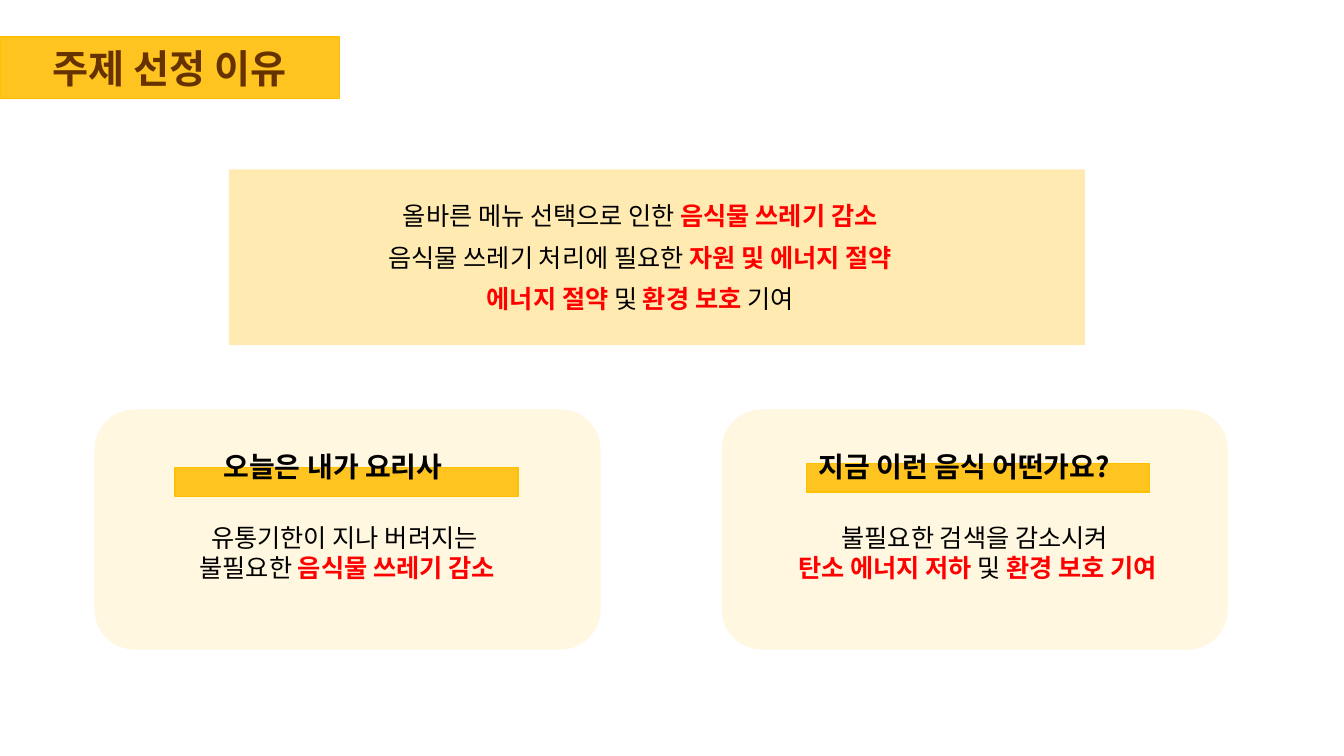
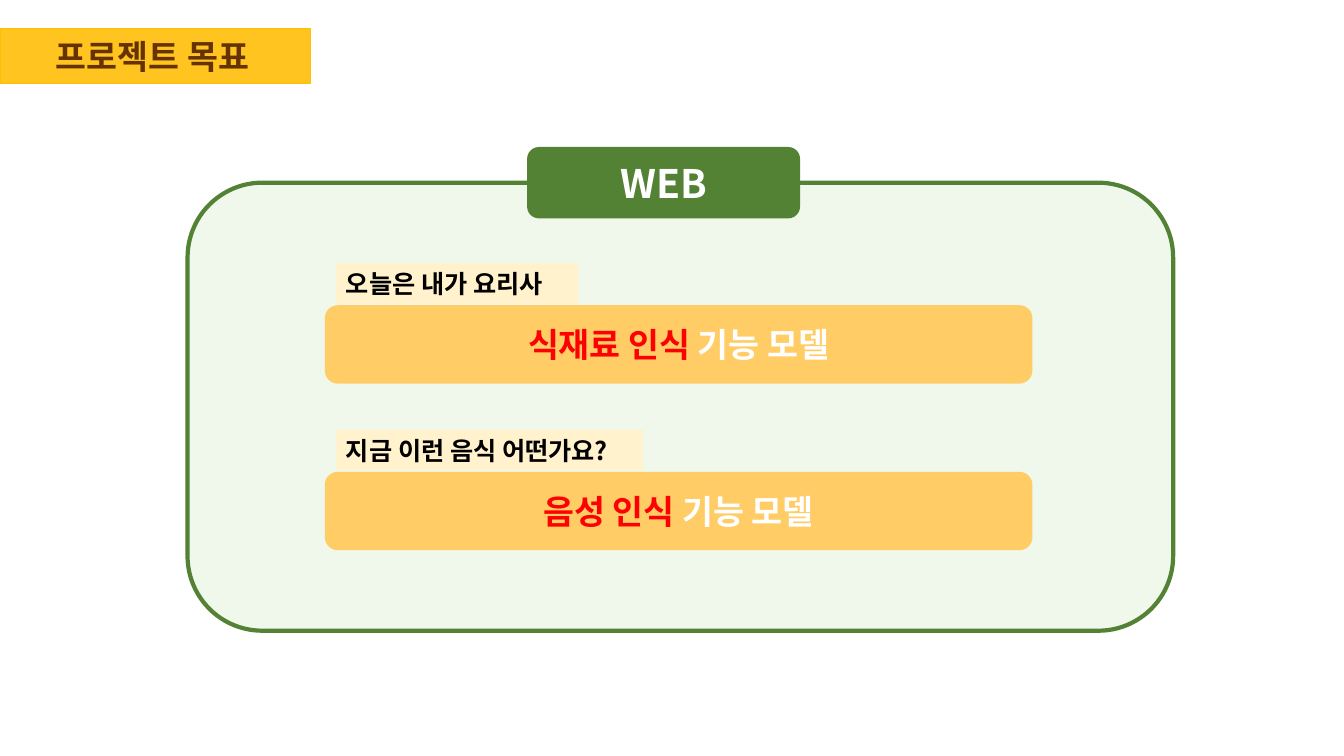
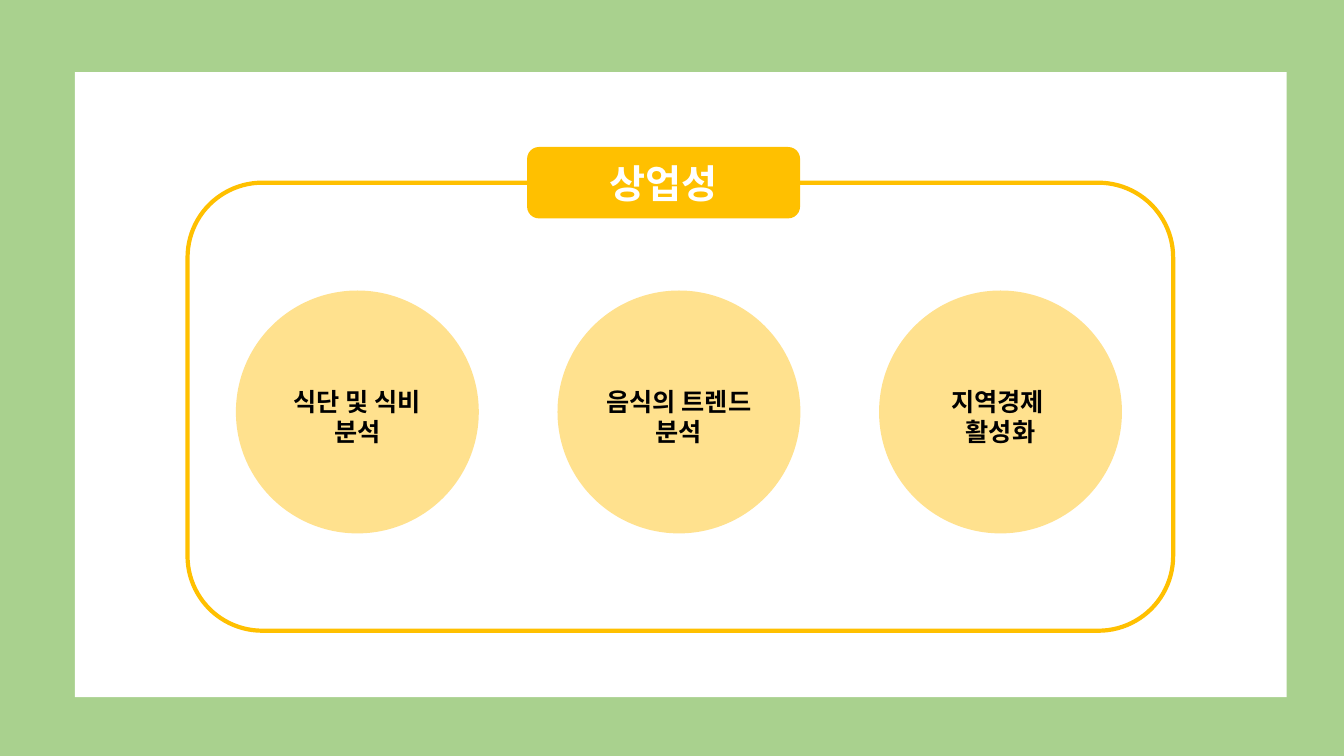
from lxml import etree
from pptx import Presentation
from pptx.dml.color import RGBColor
from pptx.enum.shapes import MSO_SHAPE
from pptx.enum.text import PP_ALIGN
from pptx.oxml.ns import qn
from pptx.util import Pt

RECT = MSO_SHAPE.RECTANGLE
ROUND = MSO_SHAPE.ROUNDED_RECTANGLE
OVAL = MSO_SHAPE.OVAL
LEFT = PP_ALIGN.LEFT
CENTER = PP_ALIGN.CENTER


class Theme:
    font = "Noto Sans CJK KR"
    black = "000000"
    white = "FFFFFF"
    red = "FF0000"
    brown = "663300"
    amber = "FFC41F"
    gold = "FFC000"
    sand = "FFD966"
    cream = "FFF2CC"
    orange = "FFCC66"
    green = "548235"
    mint = "E2F0D9"
    leaf = "A9D18E"
    title = 28
    subtitle = 24
    heading = 20
    body = 18


def add_box(s, kind, at, fill=None, line=None, width=1, opacity=100):
    sp = s.shapes.add_shape(kind, *[Pt(v) for v in at])
    sp.shadow.inherit = False
    if fill:
        sp.fill.solid()
        sp.fill.fore_color.rgb = RGBColor.from_string(fill)
        if opacity < 100:
            clr = next(sp.element.iter(qn("a:srgbClr")))
            etree.SubElement(clr, qn("a:alpha"), val=str(opacity * 1000))
    else:
        sp.fill.background()
    if line:
        sp.line.color.rgb = RGBColor.from_string(line)
        sp.line.width = Pt(width)
    else:
        sp.line.fill.background()
    return sp


def write(sp, paragraphs, size, align=LEFT, gap=0):
    tf = sp.text_frame
    tf.word_wrap = True
    for i, runs in enumerate(paragraphs):
        p = tf.paragraphs[0] if i == 0 else tf.add_paragraph()
        p.alignment = align
        if i and gap:
            p.space_before = Pt(gap)
        for text, color, bold in runs:
            r = p.add_run()
            r.text = text
            r.font.size = Pt(size)
            r.font.bold = bold
            r.font.color.rgb = RGBColor.from_string(color)
            r.font.name = Theme.font
            etree.SubElement(r._r.get_or_add_rPr(), qn("a:ea"), typeface=Theme.font)


prs = Presentation()
prs.slide_width = Pt(960)
prs.slide_height = Pt(540)
reason, goal, market = [prs.slides.add_slide(prs.slide_layouts[6]) for _ in range(3)]

market.background.fill.solid()
market.background.fill.fore_color.rgb = RGBColor.from_string(Theme.leaf)
add_box(market, RECT, (53.5, 51.5, 865.5, 446.5), Theme.white)

for s, text, size, at, indent in [
    (reason, "주제 선정 이유", Theme.title, (0, 26.5, 242.5, 44), 37.5),
    (goal, "프로젝트 목표", Theme.subtitle, (0, 20.5, 222, 39), 40),
]:
    sp = add_box(s, RECT, at, Theme.amber, Theme.gold)
    sp.text_frame.margin_left = Pt(indent)
    write(sp, [[(text, Theme.brown, True)]], size)

for s, text, color, fill in [
    (goal, "WEB", Theme.green, Theme.mint),
    (market, "상업성", Theme.gold, None),
]:
    add_box(s, ROUND, (134, 130.5, 704, 320), fill, color, 3, 50)
    tag = add_box(s, ROUND, (376.5, 105, 195, 51), color)
    write(tag, [[(text, Theme.white, True)]], Theme.title, CENTER)

banner = add_box(reason, RECT, (163.5, 121, 611.5, 125.5), Theme.sand, opacity=50)
banner.text_frame.margin_right = Pt(31)
write(banner, [
    [("올바른 메뉴 선택으로 인한 ", Theme.black, False),
     ("음식물 쓰레기 감소", Theme.red, True)],
    [("음식물 쓰레기 처리에 필요한 ", Theme.black, False),
     ("자원 및 에너지 절약", Theme.red, True)],
    [("에너지 절약 ", Theme.red, True), ("및 ", Theme.black, False),
     ("환경 보호 ", Theme.red, True), ("기여", Theme.black, False)],
], Theme.body, CENTER, 8)

for card_x, mark_x, mark_y, head_x, body_x, body_w, head, body in [
    (67.5, 125, 334, 152.5, 103, 290, "오늘은 내가 요리사", [
        [("유통기한이 지나 버려지는 ", Theme.black, False)],
        [("불필요한 ", Theme.black, False), ("음식물 쓰레기 감소", Theme.red, True)],
    ]),
    (515.5, 576, 331, 577.5, 534, 328.5, "지금 이런 음식 어떤가요?", [
        [("불필요한 검색을 감소시켜 ", Theme.black, False)],
        [("탄소 에너지 저하 ", Theme.red, True), ("및 ", Theme.black, False),
         ("환경 보호 기여", Theme.red, True)],
    ]),
]:
    add_box(reason, ROUND, (card_x, 292.5, 361.5, 171.5), Theme.cream, opacity=60)
    add_box(reason, RECT, (mark_x, mark_y, 245, 20.5), Theme.amber, Theme.gold)
    sp = reason.shapes.add_textbox(Pt(head_x), Pt(317.5), Pt(255.5), Pt(31.5))
    write(sp, [[(head, Theme.black, True)]], Theme.heading)
    sp = reason.shapes.add_textbox(Pt(body_x), Pt(369.5), Pt(body_w), Pt(51))
    write(sp, body, Theme.body, CENTER)

for i, (label, label_w, feature) in enumerate([
    ("오늘은 내가 요리사", 173, "식재료 인식 "),
    ("지금 이런 음식 어떤가요?", 219.5, "음성 인식 "),
]):
    y = 218 + i * 119
    sp = add_box(goal, ROUND, (232, y, 505.5, 56), Theme.orange)
    write(sp, [[(feature, Theme.red, True), ("기능 모델", Theme.white, True)]],
          Theme.subtitle, CENTER)
    sp = add_box(goal, RECT, (240, y - 30, label_w, 29), Theme.cream)
    write(sp, [[(label, Theme.black, True)]], Theme.body)

for i, lines in enumerate([
    ["식단 및 식비", "분석"],
    ["음식의 트렌드 분석"],
    ["지역경제 ", "활성화"],
]):
    sp = add_box(market, OVAL, (168.5 + i * 229.7, 207.5, 173.5, 173.5),
                 Theme.amber, opacity=50)
    tf = sp.text_frame
    tf.margin_left = tf.margin_right = tf.margin_bottom = 0
    tf.margin_top = Pt(6)
    write(sp, [[(text, Theme.black, True)] for text in lines], Theme.body, CENTER)

prs.save("out.pptx")
